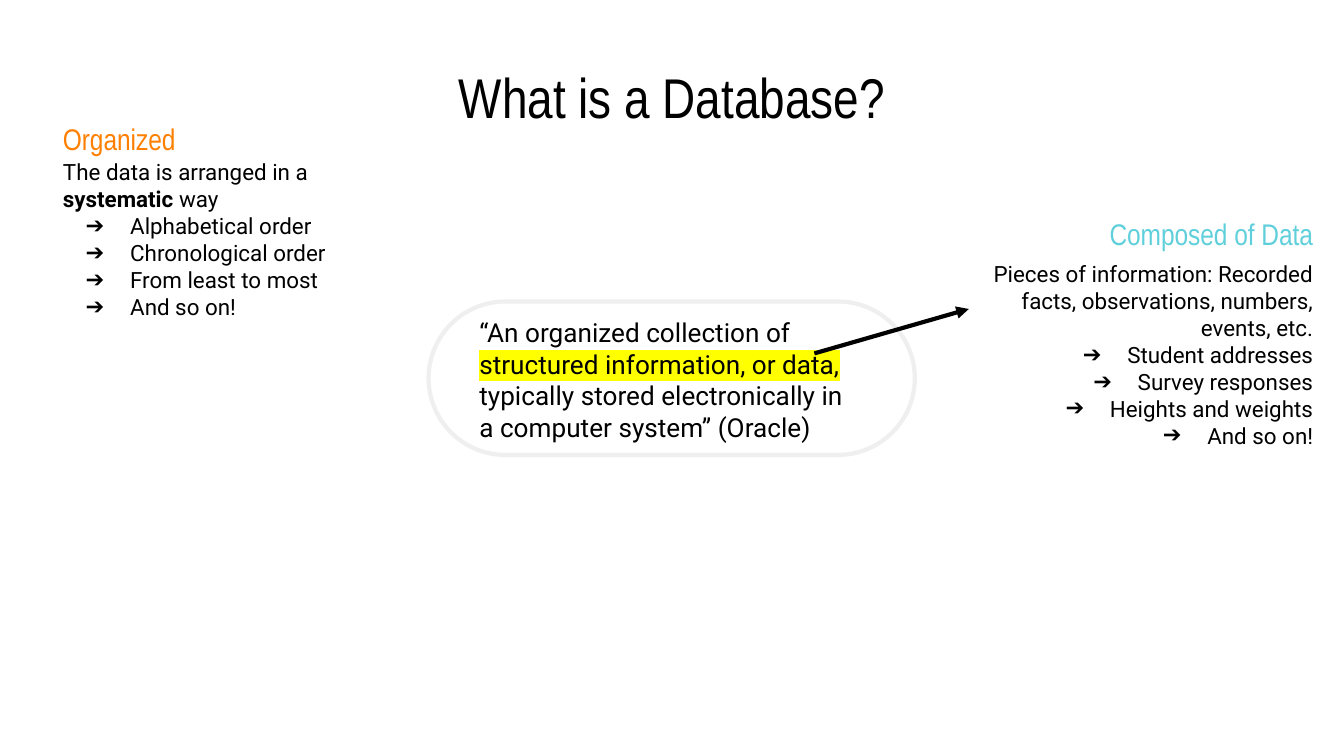
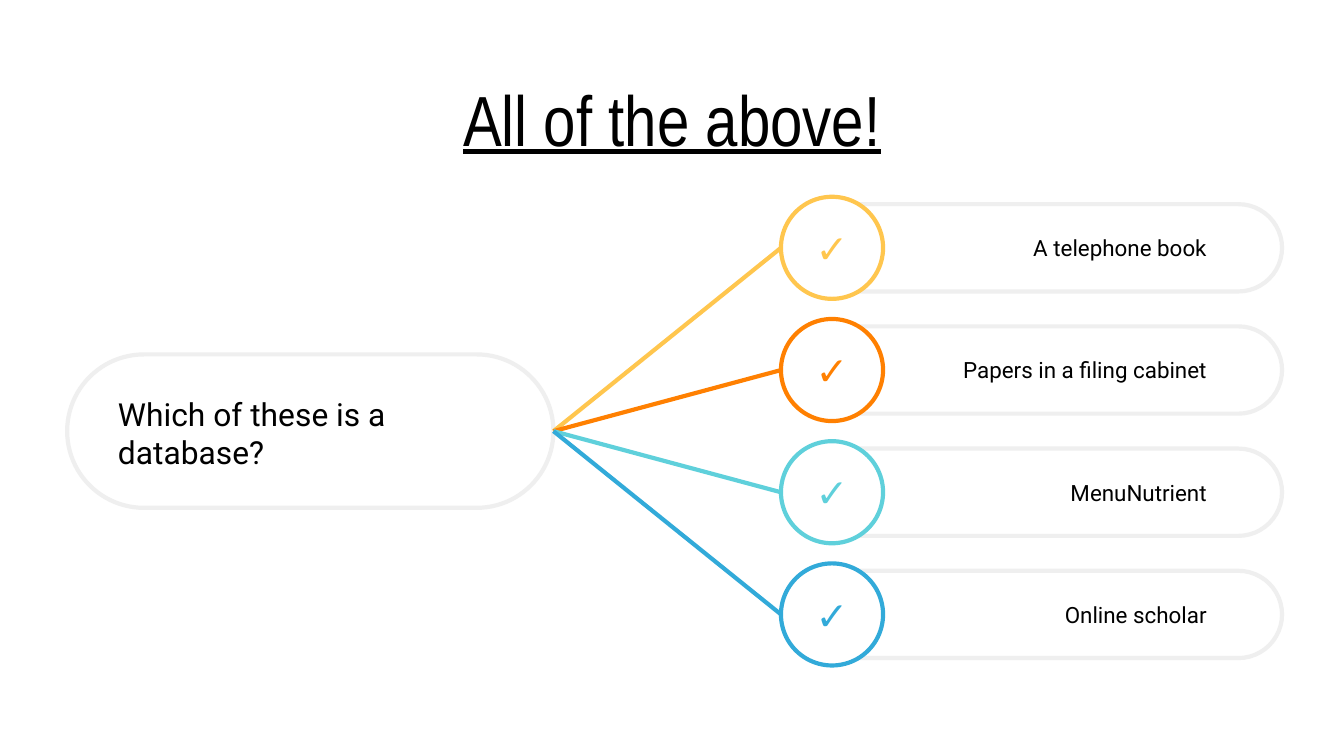
from dataclasses import dataclass, field
from typing import Optional

import lxml.etree
import pptx
import pptx.dml.color
import pptx.enum.shapes
import pptx.enum.text
import pptx.oxml.ns
import pptx.util
from pptx.presentation import Presentation
from pptx.shapes.autoshape import Shape
from pptx.shapes.connector import Connector
from pptx.slide import Slide
from pptx.util import Cm

ALIGN = pptx.enum.text.PP_ALIGN
SHAPE = pptx.enum.shapes.MSO_SHAPE
qn = pptx.oxml.ns.qn


@dataclass(frozen=True)
class Theme:
    heading_font: str = "Arial Narrow"
    body_font: str = "Roboto"
    black: str = "000000"
    white: str = "FFFFFF"
    outline: str = "EFEFEF"
    highlight: str = "FFFF00"
    yellow: str = "FFC64E"
    orange: str = "FF8001"
    teal: str = "5FD0DB"
    blue: str = "32AAD9"
    title_size: int = 30
    answer_size: int = 38
    check_size: int = 21
    question_size: int = 17
    heading_size: int = 16
    quote_size: int = 14
    body_size: int = 12
    line_width: float = 2.25
    inset: float = 0.25


THEME = Theme()


@dataclass(frozen=True)
class Box:
    left: float
    top: float
    width: float
    height: float

    @property
    def middle(self) -> float:
        return self.top + self.height / 2


@dataclass(frozen=True)
class Style:
    size: int
    font: str = THEME.body_font
    color: str = THEME.black
    align: ALIGN = ALIGN.LEFT
    bold: bool = False
    underline: bool = False


@dataclass(frozen=True)
class Segment:
    text: str
    bold: bool = False
    highlight: Optional[str] = None


@dataclass(frozen=True)
class Topic:
    heading: str
    color: str
    align: ALIGN
    heading_box: Box
    list_box: Box
    intro: list[Segment]
    items: list[str] = field(default_factory=list)


@dataclass(frozen=True)
class Answer:
    label: str
    color: str


TOPICS = [
    Topic("Organized", THEME.orange, ALIGN.LEFT,
          Box(0.94, 2.26, 7.01, 0.71), Box(0.94, 2.97, 6.02, 3.1),
          [Segment("The data is arranged in a "), Segment("systematic ", bold=True), Segment("way")],
          ["Alphabetical order", "Chronological order", "From least to most", "And so on!"]),
    Topic("Composed of Data", THEME.teal, ALIGN.RIGHT,
          Box(20.24, 4.06, 4.83, 0.71), Box(17.93, 4.78, 7.14, 3.84),
          [Segment("Pieces of information: Recorded facts, observations, numbers, events, etc.")],
          ["Student addresses", "Survey responses", "Heights and weights", "And so on!"]),
]

QUOTE = [
    Segment("“An organized collection of "),
    Segment("structured information, or data,", highlight=THEME.highlight),
    Segment(" typically stored electronically in a computer system” (Oracle)"),
]

ANSWERS = [
    Answer("A telephone book", THEME.yellow),
    Answer("Papers in a filing cabinet", THEME.orange),
    Answer("MenuNutrient", THEME.teal),
    Answer("Online scholar", THEME.blue),
]

ANSWER_PITCH = 2.31
CIRCLE_SIZE = 1.93
LABEL_HEIGHT = 1.14


def rgb(color: str) -> pptx.dml.color.RGBColor:
    return pptx.dml.color.RGBColor.from_string(color)


def place(shape: Shape, box: Box) -> None:
    shape.left, shape.top = Cm(box.left), Cm(box.top)
    shape.width, shape.height = Cm(box.width), Cm(box.height)


def prepare_frame(shape: Shape, left: float = THEME.inset, right: float = THEME.inset) -> None:
    frame = shape.text_frame
    frame.word_wrap = True
    frame.auto_size = pptx.enum.text.MSO_AUTO_SIZE.NONE
    frame.vertical_anchor = pptx.enum.text.MSO_ANCHOR.MIDDLE
    frame.margin_left, frame.margin_right = Cm(left), Cm(right)
    frame.margin_top = frame.margin_bottom = Cm(THEME.inset)


def format_text(shape: Shape, style: Style) -> None:
    for paragraph in shape.text_frame.paragraphs:
        paragraph.alignment = style.align
        paragraph.space_before = pptx.util.Pt(0)
        for run in paragraph.runs:
            run.font.name = style.font
            run.font.size = pptx.util.Pt(style.size)
            run.font.color.rgb = rgb(style.color)
            run.font.bold = style.bold
            run.font.underline = style.underline


def write_segments(shape: Shape, segments: list[Segment], style: Style) -> None:
    paragraph = shape.text_frame.paragraphs[0]
    for segment in segments:
        paragraph.add_run().text = segment.text
    format_text(shape, style)
    for run, segment in zip(paragraph.runs, segments):
        run.font.bold = segment.bold
        if segment.highlight:
            marker = lxml.etree.Element(qn("a:highlight"))
            lxml.etree.SubElement(marker, qn("a:srgbClr"), val=segment.highlight)
            run._r.rPr.find(qn("a:latin")).addprevious(marker)


def set_bullet(paragraph, character: Optional[str]) -> None:
    properties = paragraph._p.get_or_add_pPr()
    properties.set("marL", str(Cm(1.27) if character else 0))
    properties.set("indent", str(Cm(-0.84) if character else 0))
    if character:
        bullet_color = lxml.etree.SubElement(properties, qn("a:buClr"))
        lxml.etree.SubElement(bullet_color, qn("a:srgbClr"), val=THEME.black)
        lxml.etree.SubElement(properties, qn("a:buChar"), char=character)
    else:
        lxml.etree.SubElement(properties, qn("a:buNone"))


def add_title(slide: Slide, text: str, height: float, size: int, underline: bool = False) -> None:
    title = slide.shapes.title
    place(title, Box(1.27, 1.14, 22.86, height))
    prepare_frame(title)
    title.text_frame.text = text
    format_text(title, Style(size, THEME.heading_font, align=ALIGN.CENTER, underline=underline))


def add_text(slide: Slide, box: Box, segments: list[Segment], style: Style,
             left: float = THEME.inset, right: float = THEME.inset) -> None:
    text_box = slide.shapes.add_textbox(Cm(0), Cm(0), Cm(1), Cm(1))
    place(text_box, box)
    prepare_frame(text_box, left, right)
    write_segments(text_box, segments, style)


def add_outlined(slide: Slide, kind: SHAPE, box: Box, color: str) -> Shape:
    shape = slide.shapes.add_shape(kind, Cm(0), Cm(0), Cm(1), Cm(1))
    place(shape, box)
    shape.shadow.inherit = False
    shape.fill.solid()
    shape.fill.fore_color.rgb = rgb(THEME.white)
    shape.line.color.rgb = rgb(color)
    shape.line.width = pptx.util.Pt(THEME.line_width)
    return shape


def add_pill(slide: Slide, box: Box) -> Shape:
    pill = add_outlined(slide, SHAPE.ROUNDED_RECTANGLE, box, THEME.outline)
    pill.adjustments[0] = 0.5
    return pill


def add_statement(slide: Slide, left: float, top: float, segments: list[Segment], size: int) -> Shape:
    pill = add_pill(slide, Box(left, top, 9.19, 2.9))
    add_text(slide, Box(left + 0.71, top + 0.74, 7.75, 1.47), segments, Style(size))
    return pill


def add_line(slide: Slide, start: tuple[float, float], end: tuple[float, float],
             color: str, arrow: bool = False) -> Connector:
    line = slide.shapes.add_connector(
        pptx.enum.shapes.MSO_CONNECTOR.STRAIGHT, *map(Cm, start), *map(Cm, end))
    line.line.color.rgb = rgb(color)
    line.line.width = pptx.util.Pt(THEME.line_width)
    properties = line.element.spPr
    if arrow:
        lxml.etree.SubElement(properties.find(qn("a:ln")), qn("a:tailEnd"), type="triangle")
    lxml.etree.SubElement(properties, qn("a:effectLst"))
    return line


def add_topic(slide: Slide, topic: Topic, placeholder: Shape) -> None:
    add_text(slide, topic.heading_box, [Segment(topic.heading)],
             Style(THEME.heading_size, THEME.heading_font, topic.color, topic.align))
    place(placeholder, topic.list_box)
    prepare_frame(placeholder)
    frame = placeholder.text_frame
    set_bullet(frame.paragraphs[0], None)
    for item in topic.items:
        paragraph = frame.add_paragraph()
        set_bullet(paragraph, "➔")
        paragraph.text = item
    style = Style(THEME.body_size, align=topic.align)
    format_text(placeholder, style)
    write_intro = topic.intro
    write_segments_keep_items(placeholder, write_intro, style)


def write_segments_keep_items(placeholder: Shape, intro: list[Segment], style: Style) -> None:
    write_segments(placeholder, intro, style)


def add_answer(slide: Slide, answer: Answer, row: Box, question: Shape) -> None:
    add_text(slide, Box(row.left, row.middle - LABEL_HEIGHT / 2, 8.28, LABEL_HEIGHT),
             [Segment(answer.label)], Style(THEME.body_size, align=ALIGN.RIGHT), 1.52, 0.51)
    circle_box = Box(14.76, row.middle - CIRCLE_SIZE / 2, CIRCLE_SIZE, CIRCLE_SIZE)
    line = add_line(slide, (0, 0), (circle_box.left, row.middle), answer.color)
    line.begin_connect(question, 3)
    circle = add_outlined(slide, SHAPE.OVAL, circle_box, answer.color)
    prepare_frame(circle, 0, 0)
    circle.text_frame.text = "✓"
    format_text(circle, Style(THEME.check_size, THEME.heading_font, answer.color, ALIGN.CENTER, bold=True))


def build_definition(presentation: Presentation) -> None:
    slide = presentation.slides.add_slide(presentation.slide_layouts[3])
    add_title(slide, "What is a Database?", 1.35, THEME.title_size)
    add_statement(slide, 8.1, 5.7, QUOTE, THEME.quote_size)
    add_line(slide, (15.39, 6.68), (18.31, 5.84), THEME.black, arrow=True)
    for index, topic in enumerate(TOPICS, start=1):
        add_topic(slide, topic, slide.placeholders[index])


def build_quiz(presentation: Presentation) -> None:
    slide = presentation.slides.add_slide(presentation.slide_layouts[5])
    add_title(slide, "All of the above!", 2.18, THEME.answer_size, underline=True)
    question = add_statement(slide, 1.27, 6.7, [Segment("Which of these is a database?")], THEME.question_size)
    rows = [Box(15.04, 3.86 + index * ANSWER_PITCH, 9.19, 1.65) for index in range(len(ANSWERS))]
    for row in rows:
        add_pill(slide, row)
    for answer, row in zip(ANSWERS, rows):
        add_answer(slide, answer, row, question)


def main() -> None:
    presentation = pptx.Presentation()
    presentation.slide_width, presentation.slide_height = Cm(25.4), Cm(14.29)
    build_definition(presentation)
    build_quiz(presentation)
    presentation.save("out.pptx")


if __name__ == "__main__":
    main()
